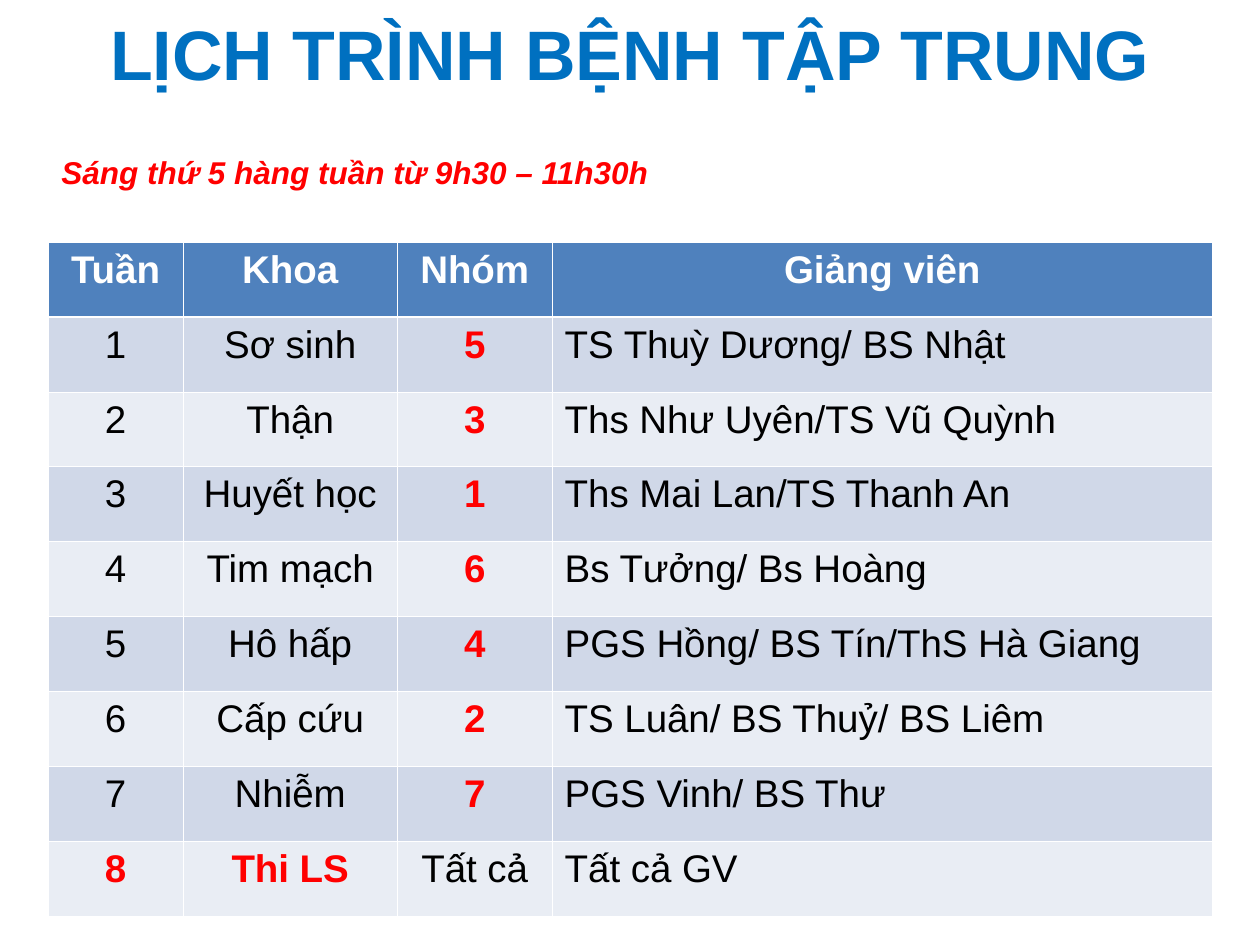
from typing import NamedTuple

from lxml.etree import SubElement
from pptx import Presentation
from pptx.dml.color import RGBColor
from pptx.enum.text import MSO_ANCHOR, PP_ALIGN
from pptx.oxml.ns import qn
from pptx.util import Cm, Pt

BLUE = RGBColor(0x00, 0x70, 0xC0)
RED = RGBColor(0xFF, 0x00, 0x00)
BLACK = RGBColor(0x00, 0x00, 0x00)
WHITE = RGBColor(0xFF, 0xFF, 0xFF)
HEADER_FILL = RGBColor(0x4F, 0x81, 0xBD)
BAND_FILLS = (RGBColor(0xD0, 0xD8, 0xE8), RGBColor(0xE9, 0xED, 0xF4))

FONT = "Arial"
THIN, THICK = Pt(0.45), Pt(1.47)
COLUMN_WIDTHS = (Cm(2.72), Cm(4.32), Cm(3.12), Cm(13.31))
ROW_HEIGHT = Cm(1.51)
HEADERS = ("Tuần", "Khoa", "Nhóm", "Giảng viên")
LECTURER_COLUMN = 3


class Session(NamedTuple):
    week: str
    department: str
    group: str
    lecturers: str
    red_columns: tuple[int, ...] = (2,)


SESSIONS = (
    Session("1", "Sơ sinh", "5", "TS Thuỳ Dương/ BS Nhật"),
    Session("2", "Thận", "3", "Ths Như Uyên/TS Vũ Quỳnh"),
    Session("3", "Huyết học", "1", "Ths Mai Lan/TS Thanh An"),
    Session("4", "Tim mạch", "6", "Bs Tưởng/ Bs Hoàng"),
    Session("5", "Hô hấp", "4", "PGS Hồng/ BS Tín/ThS Hà Giang"),
    Session("6", "Cấp cứu", "2", "TS Luân/ BS Thuỷ/ BS Liêm"),
    Session("7", "Nhiễm", "7", "PGS Vinh/ BS Thư"),
    Session("8", "Thi LS", "Tất cả", "Tất cả GV", (0, 1)),
)


def write(tf, text: str, size: int, color: RGBColor, bold: bool = True,
          italic: bool = False, align: PP_ALIGN = PP_ALIGN.LEFT) -> None:
    tf.text = text
    p = tf.paragraphs[0]
    p.alignment = align
    p.font.name = FONT
    p.font.size = Pt(size)
    p.font.bold = bold
    p.font.italic = italic
    p.font.color.rgb = color


def set_borders(cell, top: int = THIN, bottom: int = THIN) -> None:
    """Add white borders; call before filling, as the schema puts lines first."""
    props = cell._tc.get_or_add_tcPr()
    for side, width in (("L", THIN), ("R", THIN), ("T", top), ("B", bottom)):
        line = SubElement(props, qn(f"a:ln{side}"), w=str(int(width)))
        fill = SubElement(line, qn("a:solidFill"))
        SubElement(fill, qn("a:srgbClr"), val=str(WHITE))


def fill_cell(cell, color: RGBColor) -> None:
    cell.fill.solid()
    cell.fill.fore_color.rgb = color


def add_schedule(s) -> None:
    table = s.shapes.add_table(
        len(SESSIONS) + 1, len(HEADERS), Cm(0.97), Cm(4.88),
        sum(COLUMN_WIDTHS), ROW_HEIGHT * (len(SESSIONS) + 1)).table
    for column, width in zip(table.columns, COLUMN_WIDTHS):
        column.width = width
    for row in table.rows:
        row.height = ROW_HEIGHT

    for c, header in enumerate(HEADERS):
        cell = table.cell(0, c)
        set_borders(cell, bottom=THICK)
        fill_cell(cell, HEADER_FILL)
        write(cell.text_frame, header, 22, WHITE, align=PP_ALIGN.CENTER)

    for r, session in enumerate(SESSIONS, start=1):
        for c, text in enumerate(session[:len(HEADERS)]):
            cell = table.cell(r, c)
            set_borders(cell, top=THICK if r == 1 else THIN)
            fill_cell(cell, BAND_FILLS[(r - 1) % 2])
            red = c in session.red_columns
            align = PP_ALIGN.LEFT if c == LECTURER_COLUMN else PP_ALIGN.CENTER
            write(cell.text_frame, text, 22, RED if red else BLACK, bold=red, align=align)


def main() -> None:
    prs = Presentation()
    prs.slide_width, prs.slide_height = Cm(25.4), Cm(19.05)
    s = prs.slides.add_slide(prs.slide_layouts[5])

    title = s.shapes.title
    title.left, title.top, title.width, title.height = Cm(1.27), Cm(0), Cm(22.86), Cm(2.1)
    title.text_frame.vertical_anchor = MSO_ANCHOR.MIDDLE
    write(title.text_frame, "LỊCH TRÌNH BỆNH TẬP TRUNG", 40, BLUE, align=PP_ALIGN.CENTER)

    add_schedule(s)

    time_note = s.shapes.add_textbox(Cm(0.99), Cm(2.97), Cm(12.55), Cm(1.02))
    time_note.text_frame.word_wrap = False
    write(time_note.text_frame, "Sáng thứ 5 hàng tuần từ 9h30 – 11h30h", 18, RED, italic=True)

    prs.save("out.pptx")


if __name__ == "__main__":
    main()
